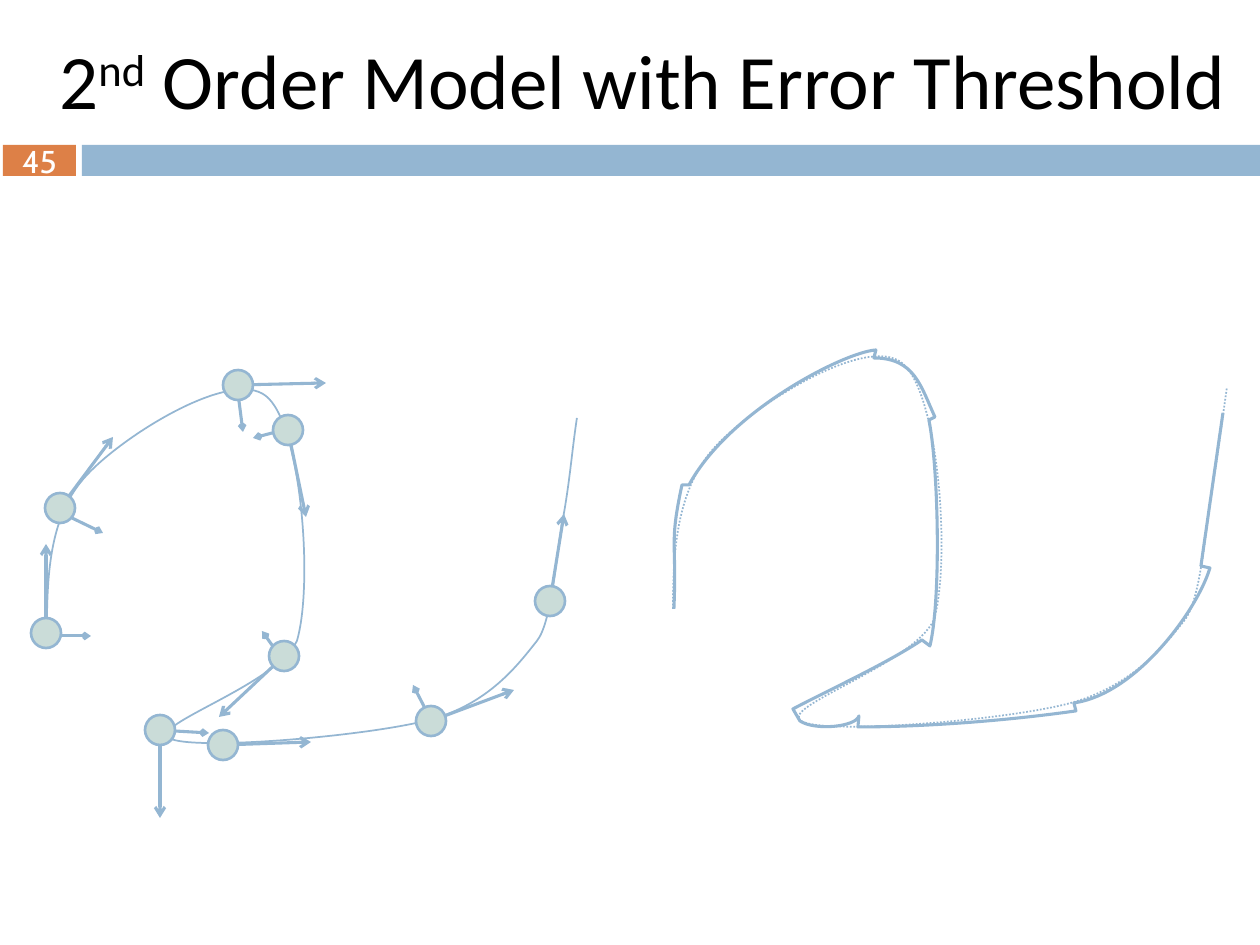
from dataclasses import dataclass

from lxml import etree
from pptx import Presentation
from pptx import util as u
from pptx.dml.color import RGBColor
from pptx.enum import dml, shapes, text
from pptx.oxml.ns import qn

PX = 914400 / 126


@dataclass(frozen=True)
class Theme:
    blue: str = "94B6D2"
    orange: str = "DD8047"
    node: str = "CADCD8"
    black: str = "000000"
    white: str = "FFFFFF"
    title_font: str = "Calibri"
    number_font: str = "Cabin"
    title_size: int = 44
    number_size: int = 18
    thin: float = 1
    outline: float = 1.5
    thick: float = 1.75


THEME = Theme()

# Text runs: wording, superscript percentage
TITLE = [("2", 0), ("nd", 30), (" Order Model with Error Threshold", 0)]
PAGE = [("45", 0)]
TITLE_BOX = (47, 26, 1213, 106)
PAGE_BOX = (3, 145, 73, 31)
BAR_BOX = (82, 145, 1178, 31)

# A path is a start point, then steps: 2 numbers for a line, 6 for a Bezier curve
SOURCE_CURVE = [
    (673, 609),
    (673, 549, 677, 488, 716, 446), (753, 406, 866, 334, 902, 363),
    (939, 392, 951, 561, 934, 620), (912, 665, 779, 707, 801, 721),
    (823, 735, 1000, 721, 1067, 704), (1134, 687, 1168, 641, 1184, 621),
    (1201, 601, 1205, 530, 1212, 491), (1218, 454, 1222, 422, 1227, 387),
]
FITTED_CURVE = [
    (674, 609),
    (677, 539, 669, 546, 682, 485), (689, 485),
    (730, 410, 845, 352, 876, 350), (876, 353, 874, 355, 874, 358),
    (915, 358, 921, 387, 935, 417), (929, 420),
    (939, 471, 941, 601, 930, 646), (922, 640),
    (888, 663, 829, 690, 793, 709), (800, 721),
    (815, 731, 856, 727, 859, 716), (859, 721, 858, 721, 858, 727),
    (924, 727, 1005, 721, 1076, 711), (1074, 703),
    (1137, 694, 1198, 609, 1210, 568), (1201, 566), (1223, 413),
]
SAMPLED_CURVE = [
    (47, 630),
    (47, 573, 50, 514, 87, 475), (123, 436, 231, 368, 266, 396),
    (301, 423, 314, 583, 297, 641), (276, 685, 149, 725, 169, 738),
    (190, 751, 360, 737, 425, 721), (489, 706, 520, 662, 537, 641),
    (552, 622, 556, 556, 563, 519), (570, 481, 572, 451, 577, 418),
]

# Sample points: centre, tip of the velocity arrow
SAMPLES = [
    ((46, 633), (46, 544)), ((60, 508), (113, 437)), ((238, 385), (326, 383)),
    ((288, 430), (306, 517)), ((284, 656), (219, 717)), ((160, 730), (160, 818)),
    ((431, 721), (514, 690)), ((550, 601), (564, 514)), ((223, 745), (311, 742)),
]
NODE_SIZE = 30
ACCELERATIONS = [
    ((60, 636), (91, 636)), ((72, 518), (103, 533)), ((238, 393), (243, 432)),
    ((276, 432), (253, 438)), ((282, 659), (262, 631)), ((428, 714), (413, 685)),
]
FRONT_ACCELERATION = ((175, 731), (209, 733))


def emu(*lengths):
    return [u.Emu(round(length * PX)) for length in lengths]


def style_line(line, width, dash=None):
    line.color.rgb = RGBColor.from_string(THEME.blue)
    line.width = u.Pt(width)
    if dash:
        line.dash_style = dash


def add_block(parent, kind, box, fill, outline=None):
    block = parent.add_shape(kind, *emu(*box))
    block.shadow.inherit = False
    block.fill.solid()
    block.fill.fore_color.rgb = RGBColor.from_string(fill)
    if outline:
        style_line(block.line, outline)
    else:
        block.line.fill.background()
    return block


def write(frame, runs, *, font, size, color, align, anchor, wrap=True):
    frame.word_wrap = wrap
    frame.vertical_anchor = anchor
    paragraph = frame.paragraphs[0]
    paragraph.alignment = align
    for wording, raised in runs:
        run = paragraph.add_run()
        run.text = wording
        run.font.name = font
        run.font.size = u.Pt(size)
        run.font.color.rgb = RGBColor.from_string(color)
        if raised:
            run.font._element.set("baseline", str(raised * 1000))


def add_curve(parent, path, width, dash=None):
    """Draw a path through all its control points, then turn triples into Beziers."""
    start, *steps = path
    builder = parent.build_freeform(*start, scale=PX)
    for step in steps:
        builder.add_line_segments(list(zip(step[::2], step[1::2])), close=False)
    curve = builder.convert_to_shape()
    curve.shadow.inherit = False
    curve.fill.background()
    style_line(curve.line, width, dash)

    segments = iter(list(curve._element.iter(qn("a:lnTo"))))
    for step in steps:
        first = next(segments)
        if len(step) == 6:
            first.tag = qn("a:cubicBezTo")
            for _ in range(2):
                extra = next(segments)
                first.append(extra[0])
                extra.getparent().remove(extra)


def add_arrow(parent, start, tip, head="med"):
    arrow = parent.add_connector(shapes.MSO_CONNECTOR.STRAIGHT, *emu(*start, *tip))
    style_line(arrow.line, THEME.thick)
    properties = arrow._element.spPr
    etree.SubElement(properties.find(qn("a:ln")), qn("a:tailEnd"),
                     type="arrow", w=head, len=head)
    etree.SubElement(properties, qn("a:effectLst"))


def add_header(slide):
    page = add_block(slide.shapes, shapes.MSO_SHAPE.RECTANGLE, PAGE_BOX, THEME.orange)
    frame = page.text_frame
    frame.margin_left = frame.margin_right = frame.margin_top = frame.margin_bottom = 0
    write(frame, PAGE, font=THEME.number_font, size=THEME.number_size,
          color=THEME.white, align=text.PP_ALIGN.CENTER, anchor=text.MSO_ANCHOR.MIDDLE)
    add_block(slide.shapes, shapes.MSO_SHAPE.RECTANGLE, BAR_BOX, THEME.blue)

    title = slide.shapes.add_textbox(*emu(*TITLE_BOX)).text_frame
    write(title, TITLE, font=THEME.title_font, size=THEME.title_size,
          color=THEME.black, align=text.PP_ALIGN.LEFT, anchor=text.MSO_ANCHOR.TOP,
          wrap=False)
    title.auto_size = text.MSO_AUTO_SIZE.SHAPE_TO_FIT_TEXT


def add_fit(slide):
    fit = slide.shapes.add_group_shape().shapes
    add_curve(fit, SOURCE_CURVE, THEME.thin, dml.MSO_LINE.ROUND_DOT)
    add_curve(fit, FITTED_CURVE, THEME.thick)


def add_samples(slide):
    sampling = slide.shapes.add_group_shape().shapes
    for start, tip in ACCELERATIONS:
        add_arrow(sampling, start, tip, head="sm")
    add_curve(sampling, SAMPLED_CURVE, THEME.thin)
    for centre, tip in SAMPLES:
        add_arrow(sampling, centre, tip)
        left, top = (c - NODE_SIZE / 2 for c in centre)
        add_block(sampling, shapes.MSO_SHAPE.OVAL, (left, top, NODE_SIZE, NODE_SIZE),
                  THEME.node, THEME.outline)
    add_arrow(sampling, *FRONT_ACCELERATION, head="sm")


def main():
    deck = Presentation()
    deck.slide_width, deck.slide_height = emu(1260, 945)
    slide = deck.slides.add_slide(deck.slide_layouts[6])
    add_header(slide)
    add_fit(slide)
    add_samples(slide)
    deck.save("out.pptx")


if __name__ == "__main__":
    main()
